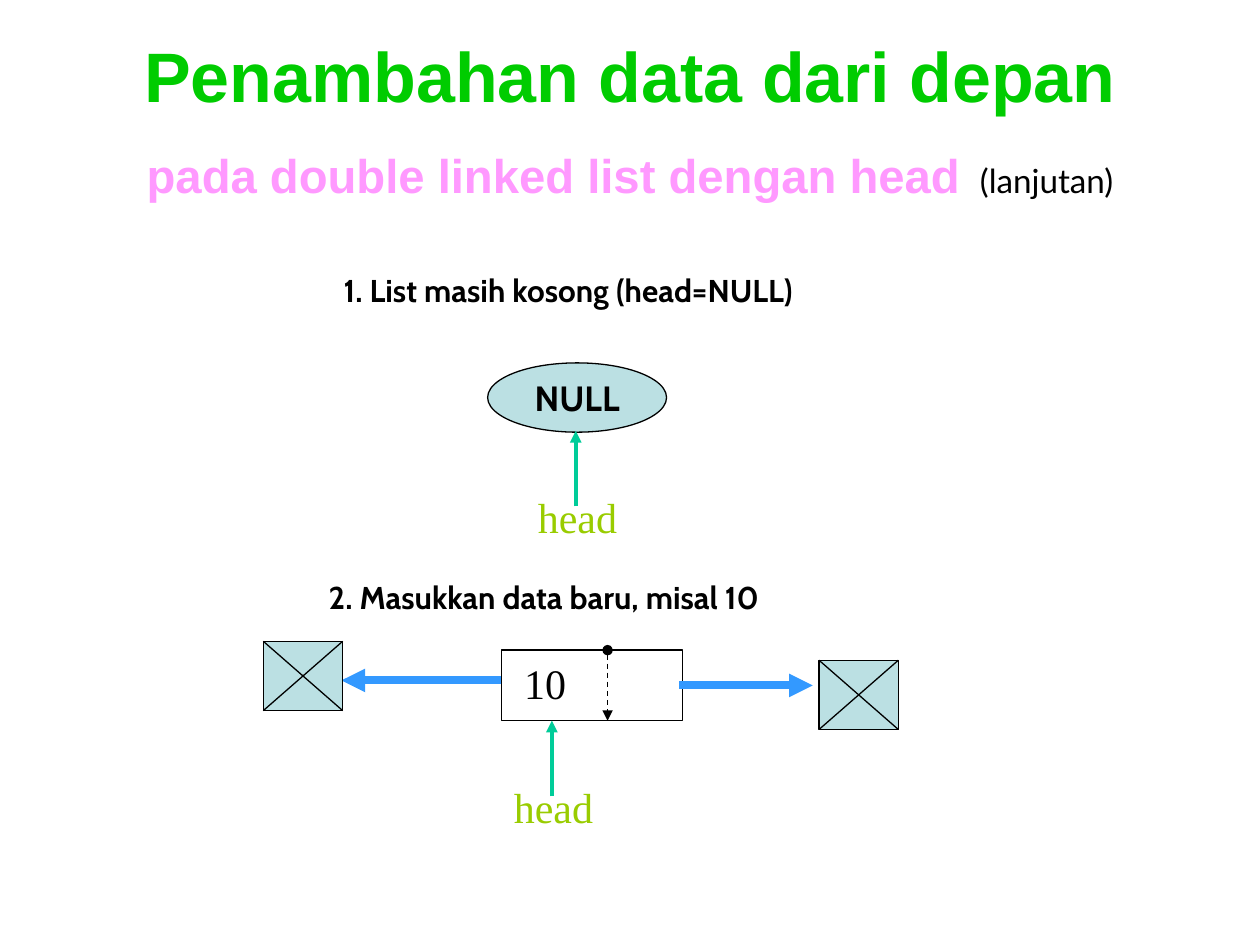
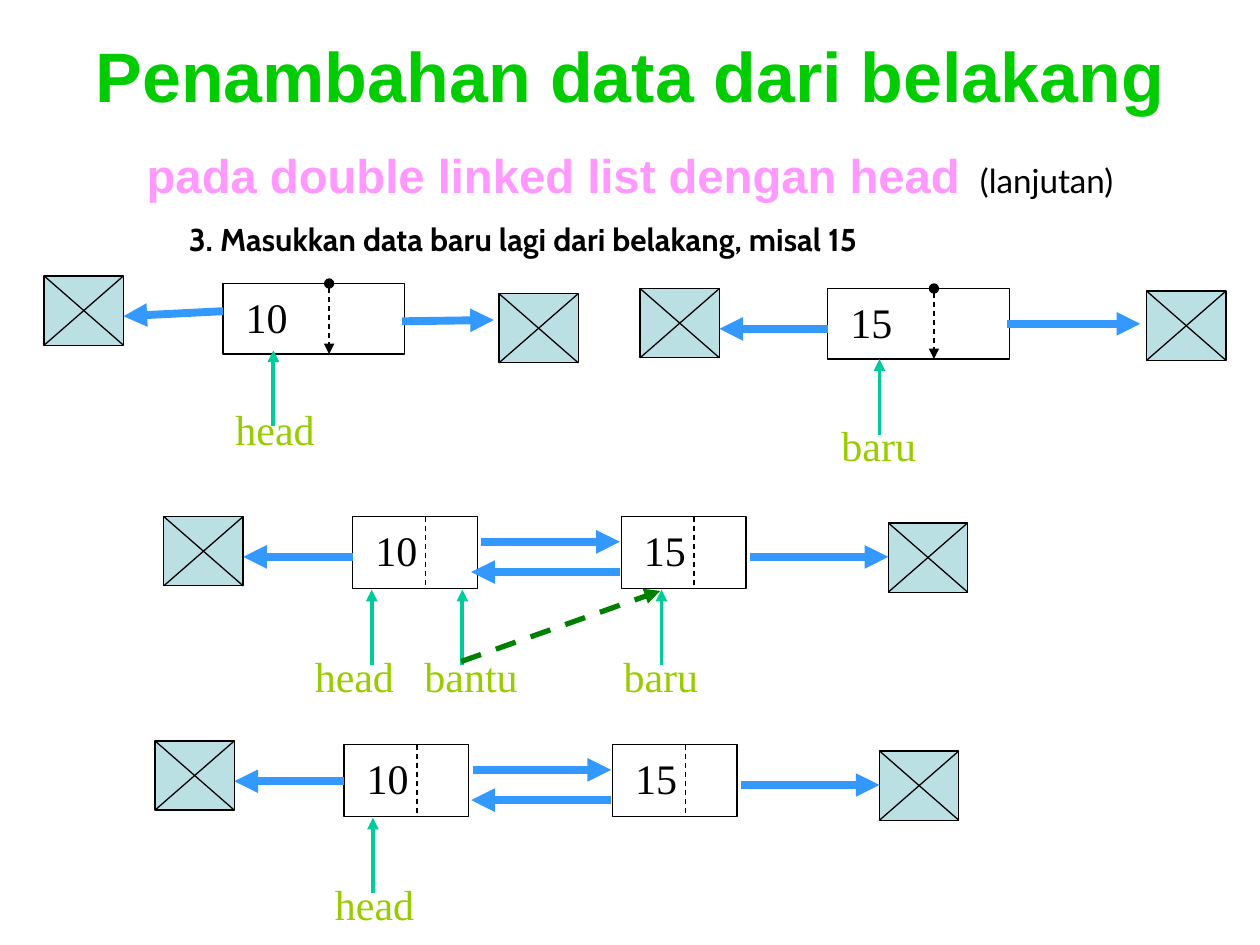
from dataclasses import dataclass
from typing import Any

from pptx import Presentation
from pptx.dml.color import RGBColor
from pptx.enum.dml import MSO_LINE
from pptx.enum.shapes import MSO_CONNECTOR, MSO_SHAPE
from pptx.enum.text import MSO_ANCHOR, MSO_AUTO_SIZE, PP_ALIGN
from pptx.oxml.xmlchemy import OxmlElement
from pptx.util import Inches, Pt

BLACK = RGBColor(0x00, 0x00, 0x00)
WHITE = RGBColor(0xFF, 0xFF, 0xFF)
TITLE_GREEN = RGBColor(0x00, 0xCC, 0x00)
PINK = RGBColor(0xFF, 0x99, 0xFF)
PALE_TEAL = RGBColor(0xBB, 0xE0, 0xE3)
LINK_BLUE = RGBColor(0x33, 0x99, 0xFF)
POINTER_TEAL = RGBColor(0x00, 0xCC, 0x99)
LABEL_GREEN = RGBColor(0x99, 0xCC, 0x00)
MOVE_GREEN = RGBColor(0x00, 0x80, 0x00)

NULL_W, NULL_H = 0.63, 0.55
DIVIDER_RATIO = 0.585
LABEL_WIDTHS = {"head": 0.83, "baru": 0.79, "bantu": 0.94}


@dataclass(frozen=True)
class TextStyle:
    """Font settings of a run."""
    name: str
    size: float
    color: RGBColor = BLACK
    bold: bool = False


@dataclass(frozen=True)
class LineStyle:
    """Stroke settings of a line."""
    color: RGBColor = BLACK
    width: float = 0.75
    dashed: bool = False
    head: str = ""
    tail: str = ""


TITLE = TextStyle("Arial", 40, TITLE_GREEN, True)
SUBTITLE = TextStyle("Arial", 27, PINK, True)
TITLE_GAP = TextStyle("Arial", 40, BLACK, True)
CONTINUED = TextStyle("Lato", 19)
CAPTION = TextStyle("Cabin", 18, bold=True)
NULL_TEXT = TextStyle("Cabin", 20, bold=True)
VALUE = TextStyle("Times New Roman", 24)
LABEL = TextStyle("Times New Roman", 24, LABEL_GREEN)

THIN = LineStyle()
DIVIDER = LineStyle(dashed=True)
DIVIDER_ARROW = LineStyle(dashed=True, head="oval", tail="triangle")
LINK = LineStyle(LINK_BLUE, 4.5, tail="triangle")
POINTER = LineStyle(POINTER_TEAL, 2.25, tail="triangle")
MOVE = LineStyle(MOVE_GREEN, 3, dashed=True, tail="triangle")


@dataclass(frozen=True)
class Caption:
    """Heading of one step."""
    left: float
    top: float
    width: float
    text: str

    def draw(self, s: Any) -> None:
        """Draw the heading."""
        add_label(s, self.left, self.top, self.width, 0.4, self.text, CAPTION)


@dataclass(frozen=True)
class Line:
    """Straight line or arrow."""
    x1: float
    y1: float
    x2: float
    y2: float
    style: LineStyle = LINK

    def draw(self, s: Any) -> None:
        """Draw the line with its ends."""
        ends = (Inches(v) for v in (self.x1, self.y1, self.x2, self.y2))
        c = s.shapes.add_connector(MSO_CONNECTOR.STRAIGHT, *ends)
        c.line.color.rgb = self.style.color
        c.line.width = Pt(self.style.width)
        if self.style.dashed:
            c.line.dash_style = MSO_LINE.DASH
        ln = c.line._get_or_add_ln()
        for tag, kind in (("a:headEnd", self.style.head), ("a:tailEnd", self.style.tail)):
            if kind:
                end = OxmlElement(tag)
                end.set("type", kind)
                ln.append(end)
        c._element.spPr.append(OxmlElement("a:effectLst"))


@dataclass(frozen=True)
class NullBox:
    """Crossed box that ends a list."""
    left: float
    top: float

    def draw(self, s: Any) -> None:
        """Draw the box and its diagonals."""
        right, bottom = self.left + NULL_W, self.top + NULL_H
        add_outlined(s, MSO_SHAPE.RECTANGLE, self.left, self.top, NULL_W, NULL_H, PALE_TEAL)
        Line(self.left, self.top, right, bottom, THIN).draw(s)
        Line(right, self.top, self.left, bottom, THIN).draw(s)


@dataclass(frozen=True)
class Node:
    """List node with a value and a dashed divider."""
    left: float
    top: float
    value: str
    width: float = 1.44
    height: float = 0.56
    divider: LineStyle = DIVIDER_ARROW

    def draw(self, s: Any) -> None:
        """Draw the node."""
        sp = add_outlined(s, MSO_SHAPE.RECTANGLE, self.left, self.top, self.width, self.height, WHITE)
        set_format(sp.text_frame, {"vertical_anchor": MSO_ANCHOR.MIDDLE, "margin_left": Inches(0.18)})
        p = sp.text_frame.paragraphs[0]
        set_format(p, {"alignment": PP_ALIGN.LEFT, "line_spacing": 0.95})
        add_run(p, self.value, VALUE)
        x = self.left + self.width * DIVIDER_RATIO
        Line(x, self.top, x, self.top + self.height, self.divider).draw(s)


@dataclass(frozen=True)
class Pointer:
    """Named arrow that points up at a node."""
    x: float
    tip: float
    name: str
    shift: float = 0.4
    drop: float = 0.46

    def draw(self, s: Any) -> None:
        """Draw the arrow and its name."""
        Line(self.x, self.tip + 0.6, self.x, self.tip, POINTER).draw(s)
        add_label(s, self.x - self.shift, self.tip + self.drop, LABEL_WIDTHS[self.name],
                  0.48, self.name, LABEL, 0.95)


@dataclass(frozen=True)
class NullEllipse:
    """Ellipse for the empty list."""
    left: float
    top: float

    def draw(self, s: Any) -> None:
        """Draw the ellipse."""
        sp = add_outlined(s, MSO_SHAPE.OVAL, self.left, self.top, 1.42, 0.55, PALE_TEAL)
        set_format(sp.text_frame, {"word_wrap": False, "vertical_anchor": MSO_ANCHOR.MIDDLE})
        p = sp.text_frame.paragraphs[0]
        p.alignment = PP_ALIGN.CENTER
        add_run(p, "NULL", NULL_TEXT)


@dataclass(frozen=True)
class LinkedPair:
    """Nodes 10 and 15 linked both ways between two null boxes."""
    left: float
    top: float
    back_tip: float
    left_rise: float = 0

    def draw(self, s: Any) -> None:
        """Draw nodes, links and null boxes."""
        x, y = self.left, self.top
        left_y = y + 0.32 - self.left_rise
        parts = [Node(x + i * 2.13, y, value, 0.99, 0.57, DIVIDER)
                 for i, value in enumerate(("10", "15"))]
        parts += [
            Line(x + 1.02, y + 0.2, x + 2.12, y + 0.2),
            Line(x + 2.12, y + 0.44, self.back_tip, y + 0.44),
            Line(x + 3.15, y + 0.32, x + 4.25, y + 0.32),
            NullBox(x + 4.25, y + 0.05),
            Line(x, left_y, x - 0.87, left_y),
            NullBox(x - 1.5, y - self.left_rise),
        ]
        draw_all(s, parts)


def set_format(target: Any, values: dict[str, Any]) -> None:
    """Set each named attribute on the target."""
    for key, value in values.items():
        setattr(target, key, value)


def add_run(p: Any, text: str, style: TextStyle) -> None:
    """Append a styled run."""
    r = p.add_run()
    r.text = text
    set_format(r.font, {"name": style.name, "size": Pt(style.size), "bold": style.bold})
    r.font.color.rgb = style.color


def add_outlined(s: Any, kind: Any, left: float, top: float, width: float,
                 height: float, fill: RGBColor) -> Any:
    """Add a filled shape with a thin black outline."""
    sp = s.shapes.add_shape(kind, Inches(left), Inches(top), Inches(width), Inches(height))
    sp.shadow.inherit = False
    sp.fill.solid()
    sp.fill.fore_color.rgb = fill
    sp.line.color.rgb = BLACK
    sp.line.width = Pt(0.75)
    return sp


def add_label(s: Any, left: float, top: float, width: float, height: float,
              text: str, style: TextStyle, spacing: float = 1.0) -> None:
    """Add one unwrapped line of text."""
    sp = s.shapes.add_textbox(Inches(left), Inches(top), Inches(width), Inches(height))
    set_format(sp.text_frame, {"word_wrap": False, "auto_size": MSO_AUTO_SIZE.SHAPE_TO_FIT_TEXT})
    p = sp.text_frame.paragraphs[0]
    p.line_spacing = spacing
    add_run(p, text, style)


def add_title(s: Any, text: str) -> None:
    """Add the two-line title."""
    sp = s.shapes.add_textbox(Inches(0.5), Inches(0.3), Inches(9), Inches(1.25))
    set_format(sp.text_frame, {"word_wrap": True, "vertical_anchor": MSO_ANCHOR.MIDDLE})
    p = sp.text_frame.paragraphs[0]
    set_format(p, {"alignment": PP_ALIGN.CENTER, "line_spacing": 1.08})
    add_run(p, text, TITLE)
    p.add_line_break()
    add_run(p, "pada double linked list dengan head", SUBTITLE)
    add_run(p, " ", TITLE_GAP)
    add_run(p, "(lanjutan)", CONTINUED)


def draw_all(s: Any, parts: list[Any]) -> None:
    """Draw the parts from back to front."""
    for part in parts:
        part.draw(s)


SLIDES = {
    "Penambahan data dari depan": [
        Caption(2.63, 2.1, 4.4, "1. List masih kosong (head=NULL)"),
        NullEllipse(3.87, 2.88),
        Pointer(4.57, 3.42, "head"),
        Caption(2.51, 4.54, 4.29, "2. Masukkan data baru, misal 10"),
        Node(3.98, 5.16, "10"),
        Line(5.39, 5.44, 6.45, 5.44), NullBox(6.5, 5.24),
        Line(3.98, 5.4, 2.71, 5.4), NullBox(2.09, 5.09),
        Pointer(4.38, 5.72, "head"),
    ],
    "Penambahan data dari belakang": [
        Caption(1.4, 1.7, 6.54, "3. Masukkan data baru lagi dari belakang, misal 15"),
        Node(1.77, 2.25, "10"),
        Line(3.19, 2.55, 3.92, 2.54), NullBox(3.96, 2.33),
        Line(1.77, 2.47, 0.98, 2.51), NullBox(0.35, 2.19),
        Pointer(2.17, 2.78, "head", drop=0.4),
        Node(6.57, 2.29, "15"),
        Line(7.99, 2.57, 9.05, 2.57), NullBox(9.1, 2.31),
        Line(6.57, 2.61, 5.71, 2.61), NullBox(5.08, 2.29),
        Pointer(6.98, 2.85, "baru"),
        LinkedPair(2.8, 4.1, 3.74),
        Pointer(2.95, 4.68, "head", shift=0.55),
        Pointer(3.67, 4.68, "bantu"),
        Pointer(5.25, 4.68, "baru"),
        Line(3.66, 5.25, 5.24, 4.69, MOVE),
        LinkedPair(2.73, 5.91, 3.74, 0.03),
        Pointer(2.96, 6.49, "head"),
    ],
}


def main() -> None:
    """Build and save the slides."""
    prs = Presentation()
    prs.slide_width, prs.slide_height = Inches(10), Inches(7.5)
    for title, parts in SLIDES.items():
        s = prs.slides.add_slide(prs.slide_layouts[6])
        add_title(s, title)
        draw_all(s, parts)
    prs.save("out.pptx")


if __name__ == "__main__":
    main()
